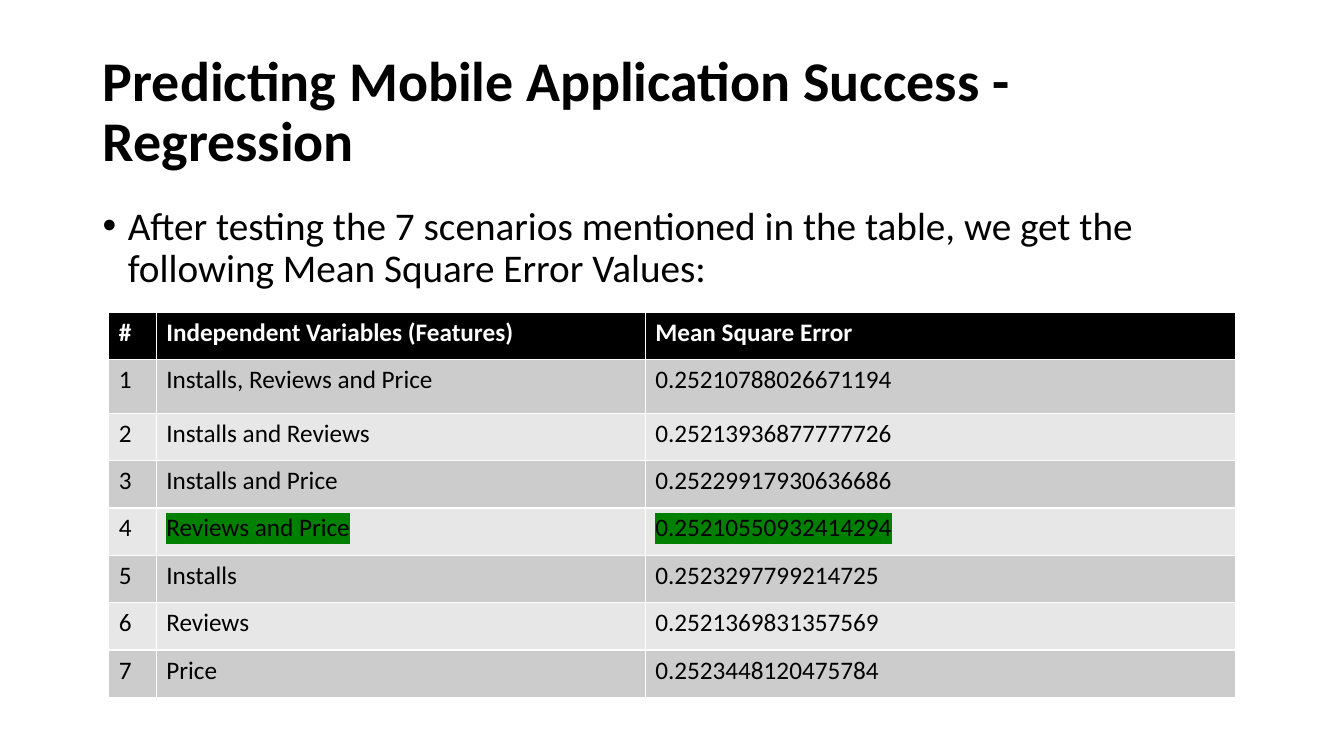
from lxml.etree import SubElement, Element
from pptx import Presentation
from pptx.dml.color import RGBColor
from pptx.enum.text import MSO_ANCHOR as Anchor, MSO_AUTO_SIZE as AutoSize, PP_ALIGN as Align
from pptx.oxml.ns import qn
from pptx.util import Inches, Pt

BLACK = RGBColor(0x00, 0x00, 0x00)
WHITE = RGBColor(0xFF, 0xFF, 0xFF)
DARK_BAND = RGBColor(0xCC, 0xCC, 0xCC)
LIGHT_BAND = RGBColor(0xE7, 0xE7, 0xE7)
GREEN = RGBColor(0x00, 0x80, 0x00)

FONT = "Calibri"
TITLE = "Predicting Mobile Application Success - Regression"
INTRO = ("After testing the 7 scenarios mentioned in the table, "
         "we get the following Mean Square Error Values:")
HEADINGS = ("#", "Independent Variables (Features)", "Mean Square Error")
SCENARIOS = (
    ("Installs, Reviews and Price", "0.25210788026671194"),
    ("Installs and Reviews", "0.25213936877777726"),
    ("Installs and Price", "0.25229917930636686"),
    ("Reviews and Price", "0.25210550932414294"),
    ("Installs", "0.2523297799214725"),
    ("Reviews", "0.2521369831357569"),
    ("Price", "0.2523448120475784"),
)
BEST = min(SCENARIOS, key=lambda scenario: float(scenario[1]))
COLUMN_WIDTHS = (0.47, 4.85, 5.86)
ROW_HEIGHT, FIRST_ROW_HEIGHT = 0.47, 0.53


def write(frame, text, size=18, color=BLACK, bold=False, highlight=None, spacing=None):
    """Write one left-aligned paragraph into a text frame and return it."""
    para = frame.paragraphs[0]
    para.alignment = Align.LEFT
    if spacing:
        para.line_spacing = spacing
    span = para.add_run()
    span.text = text
    span.font.name, span.font.size, span.font.bold = FONT, Pt(size), bold
    span.font.color.rgb = color
    if highlight:
        mark = Element(qn("a:highlight"))
        SubElement(mark, qn("a:srgbClr"), val=str(highlight))
        span.font._element.find(qn("a:solidFill")).addnext(mark)
    return para


def add_bullet(para, indent):
    """Give a paragraph a hanging round bullet."""
    props = para._p.get_or_add_pPr()
    props.set("marL", str(Inches(indent)))
    props.set("indent", str(-Inches(indent)))
    SubElement(props, qn("a:buFont"), typeface="Arial")
    SubElement(props, qn("a:buChar"), char="•")


def place_title(page, left, top, width, height):
    """Move the title placeholder into its box and fill it."""
    title = page.shapes.title
    title.left, title.top = Inches(left), Inches(top)
    title.width, title.height = Inches(width), Inches(height)
    frame = title.text_frame
    frame.auto_size, frame.vertical_anchor = AutoSize.NONE, Anchor.MIDDLE
    write(frame, TITLE, size=40, bold=True, spacing=0.9)


def place_intro(page, left, top, width, height):
    """Add the bulleted introduction in its box."""
    box = page.shapes.add_textbox(Inches(left), Inches(top), Inches(width), Inches(height))
    box.text_frame.word_wrap = True
    para = write(box.text_frame, INTRO, size=28, spacing=0.9)
    para.space_before = Pt(10)
    add_bullet(para, 0.25)


def place_table(page, left, top):
    """Add the table of errors, with the lowest one highlighted."""
    heights = [ROW_HEIGHT, FIRST_ROW_HEIGHT] + [ROW_HEIGHT] * (len(SCENARIOS) - 1)
    table = page.shapes.add_table(
        len(heights), len(COLUMN_WIDTHS), Inches(left), Inches(top),
        Inches(sum(COLUMN_WIDTHS)), Inches(sum(heights))).table
    for column, width in zip(table.columns, COLUMN_WIDTHS):
        column.width = Inches(width)
    for row, height in zip(table.rows, heights):
        row.height = Inches(height)
    rows = [HEADINGS] + [(str(n), *pair) for n, pair in enumerate(SCENARIOS, 1)]
    for r, texts in enumerate(rows):
        band = BLACK if r == 0 else DARK_BAND if r % 2 else LIGHT_BAND
        for c, text in enumerate(texts):
            cell = table.cell(r, c)
            cell.fill.solid()
            cell.fill.fore_color.rgb = band
            write(cell.text_frame, text, color=BLACK if r else WHITE, bold=r == 0,
                  highlight=GREEN if text in BEST else None)


def main():
    """Build the slide and save the deck."""
    deck = Presentation()
    deck.slide_width, deck.slide_height = Inches(13.33), Inches(7.5)
    page = deck.slides.add_slide(deck.slide_layouts[5])
    place_title(page, 0.92, 0.4, 11.5, 1.45)
    place_intro(page, 0.92, 2, 11.5, 1)
    place_table(page, 1.08, 3.1)
    deck.save("out.pptx")


if __name__ == "__main__":
    main()
